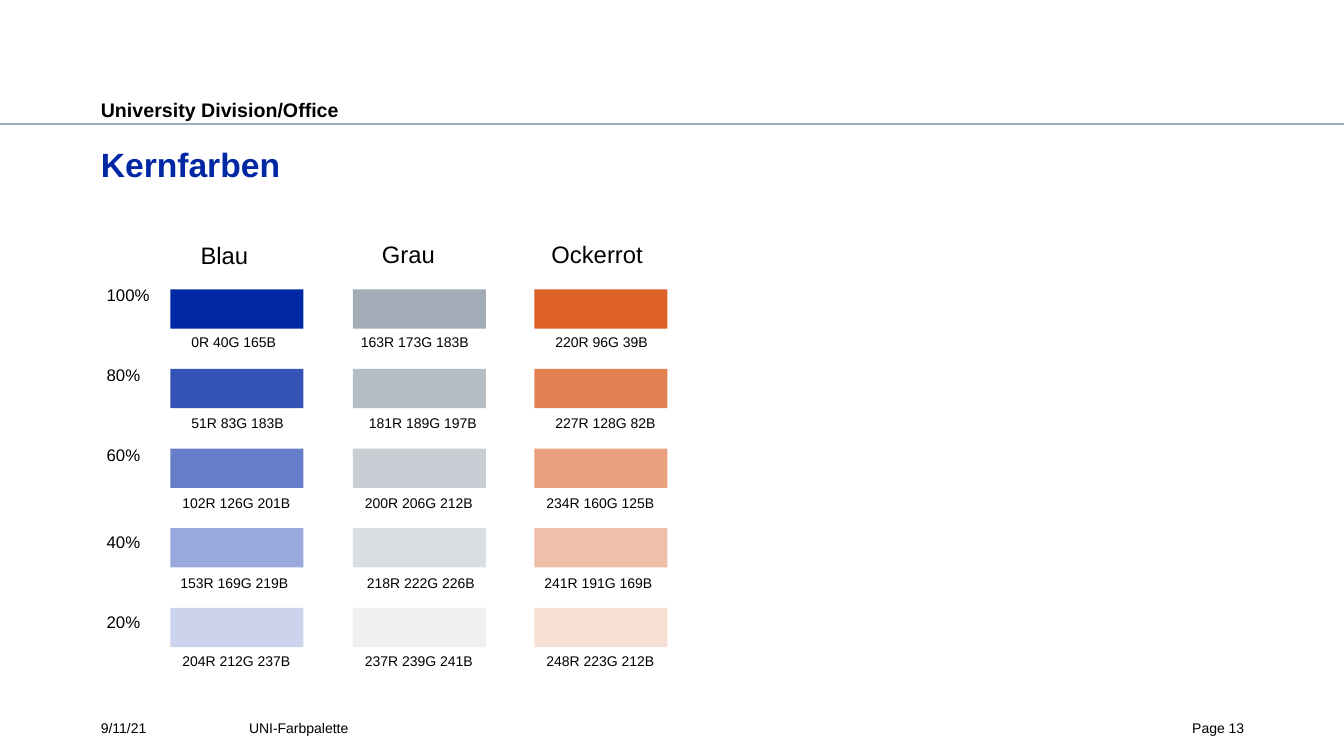
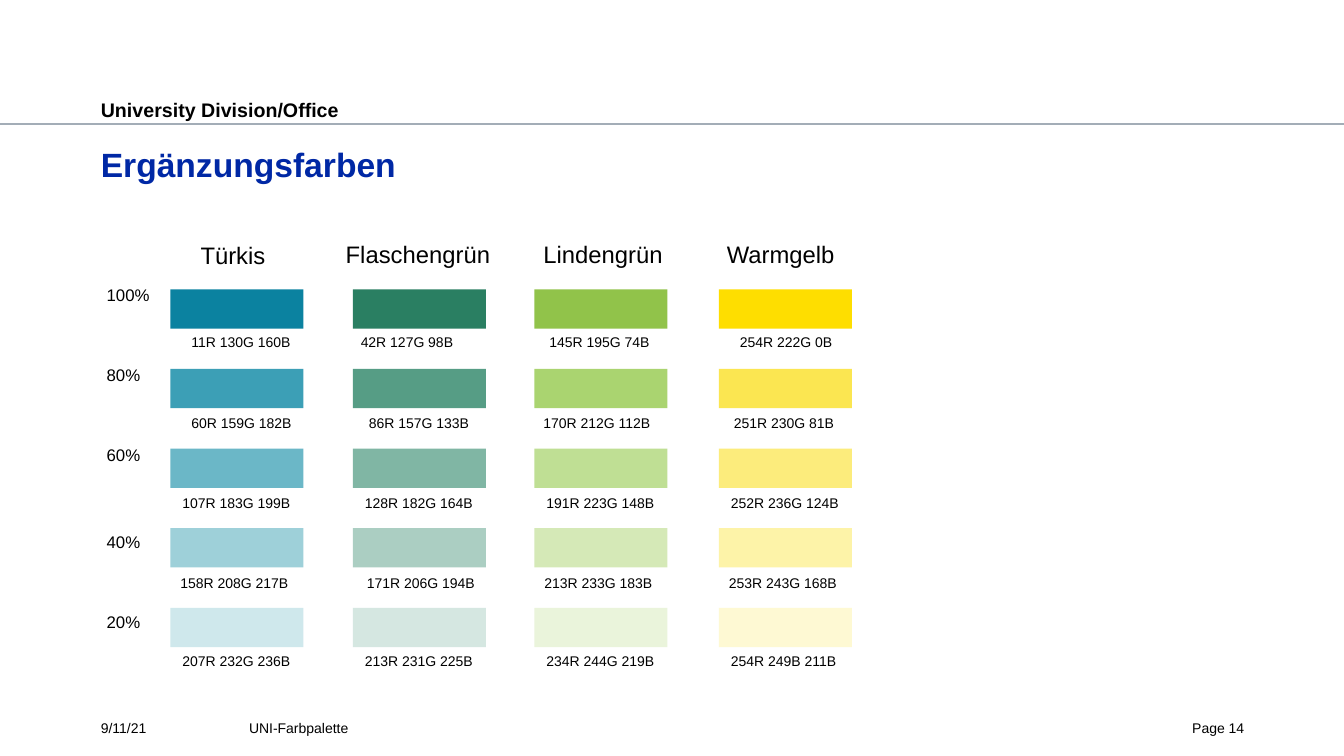
from pptx import Presentation
from pptx.dml.color import RGBColor
from pptx.enum.shapes import MSO_CONNECTOR, MSO_SHAPE
from pptx.enum.text import MSO_AUTO_SIZE, PP_ALIGN
from pptx.oxml import parse_xml
from pptx.util import Inches, Pt

BLACK = RGBColor(0, 0, 0)
BLUE = RGBColor(0, 40, 165)
GREY = RGBColor(163, 173, 183)
FONT = "Arial"
RECT = MSO_SHAPE.RECTANGLE
LINE = MSO_CONNECTOR.STRAIGHT
GROW = MSO_AUTO_SIZE.SHAPE_TO_FIT_TEXT
LEFT, RIGHT = PP_ALIGN.LEFT, PP_ALIGN.RIGHT
EFFECT = '<a:effectLst xmlns:a="http://schemas.openxmlformats.org/drawingml/2006/main"/>'

WIDTH, HEIGHT = 13.33, 7.5
MARGIN = 1
FOOT_TOP = 7.14
SWATCH_TOP, SWATCH_STEP = 2.87, 0.79
SWATCH_W, SWATCH_H = 1.32, 0.39
SWATCH_LEFTS = (1.69, 3.5, 5.3, 7.13)
HEAD_TOPS = (2.34, 2.33, 2.33, 2.33)
CODE_TOPS = (3.26, 4.06, 4.86, 5.65, 6.42)
SHADES = (("100%", 2.78), ("80%", 3.57), ("60%", 4.36), ("40%", 5.23), ("20%", 6.02))

CORE = (
    ("Blau", 1.89, 0.68, (
        ("0R 40G 165B", 1.8), ("51R 83G 183B", 1.8), ("102R 126G 201B", 1.71),
        ("153R 169G 219B", 1.69), ("204R 212G 237B", 1.71))),
    ("Grau", 3.69, 0.73, (
        ("163R 173G 183B", 3.48), ("181R 189G 197B", 3.56), ("200R 206G 212B", 3.52),
        ("218R 222G 226B", 3.54), ("237R 239G 241B", 3.52))),
    ("Ockerrot", 5.37, 1.12, (
        ("220R 96G 39B", 5.41), ("227R 128G 82B", 5.41), ("234R 160G 125B", 5.32),
        ("241R 191G 169B", 5.3), ("248R 223G 212B", 5.32))),
)
EXTRA = (
    ("Türkis", 1.89, 0.85, (
        ("11R 130G 160B", 1.8), ("60R 159G 182B", 1.8), ("107R 183G 199B", 1.71),
        ("158R 208G 217B", 1.69), ("207R 232G 236B", 1.71))),
    ("Flaschengrün", 3.33, 1.65, (
        ("42R 127G 98B", 3.48), ("86R 157G 133B", 3.56), ("128R 182G 164B", 3.52),
        ("171R 206G 194B", 3.54), ("213R 231G 225B", 3.52))),
    ("Lindengrün", 5.29, 1.4, (
        ("145R 195G 74B", 5.35), ("170R 212G 112B", 5.29), ("191R 223G 148B", 5.32),
        ("213R 233G 183B", 5.3), ("234R 244G 219B", 5.32))),
    ("Warmgelb", 7.11, 1.28, (
        ("254R 222G 0B", 7.24), ("251R 230G 81B", 7.18), ("252R 236G 124B", 7.15),
        ("253R 243G 168B", 7.13), ("254R 249B 211B", 7.15))),
)


class Deck:
    """Holds the shared style and the slide being drawn."""

    def __init__(self):
        self.prs = Presentation()
        self.prs.slide_width = Inches(WIDTH)
        self.prs.slide_height = Inches(HEIGHT)

    def page(self, title, number):
        self.slide = self.prs.slides.add_slide(self.prs.slide_layouts[6])
        self.rule(1.23)
        self.block("University Division/Office", MARGIN, 0.93, 8.02, 0.25, 14, bold=True, inset=0.04)
        self.block(title, MARGIN, 1.39, 11.34, 0.87, 24, BLUE, bold=True, inset=0.04)
        self.block("9/11/21", MARGIN, FOOT_TOP, 1.36, 0.24)
        self.block("UNI-Farbpalette", 2.47, FOOT_TOP, 7.66, 0.24)
        self.block(f"Page {number}", 11.43, FOOT_TOP, 0.91, 0.24, align=RIGHT)

    def rule(self, top):
        line = self.slide.shapes.add_connector(LINE, 0, Inches(top), Inches(WIDTH), Inches(top))
        line.line.color.rgb = GREY
        line.line.width = Pt(1.25)
        line._element.spPr.append(parse_xml(EFFECT))

    def text(self, text, left, top, width, height, size, color=BLACK, bold=False):
        box = self.slide.shapes.add_textbox(Inches(left), Inches(top), Inches(width), Inches(height))
        frame = box.text_frame
        frame.text = text
        font = frame.paragraphs[0].runs[0].font
        font.name, font.size, font.bold = FONT, Pt(size), bold
        font.color.rgb = color
        return frame

    def block(self, text, left, top, width, height, size=10, color=BLACK,
              bold=False, inset=0, align=LEFT):
        frame = self.text(text, left, top, width, height, size, color, bold)
        frame.word_wrap = True
        frame.margin_left = frame.margin_right = frame.margin_bottom = 0
        frame.margin_top = Inches(inset)
        frame.paragraphs[0].alignment = align

    def label(self, text, left, top, width, height, size):
        frame = self.text(text, left, top, width, height, size)
        frame.word_wrap = False
        frame.auto_size = GROW

    def swatch(self, left, top, color):
        shape = self.slide.shapes.add_shape(
            RECT, Inches(left), Inches(top), Inches(SWATCH_W), Inches(SWATCH_H))
        shape.shadow.inherit = False
        shape.fill.solid()
        shape.fill.fore_color.rgb = color
        shape.line.fill.background()

    def palette(self, hues):
        for shade, top in SHADES:
            self.label(shade, 0.96, top, 0.27 + 0.09 * len(shade), 0.3, 12)
        for hue, left, head_top in zip(hues, SWATCH_LEFTS, HEAD_TOPS):
            name, head_left, head_width, codes = hue
            self.label(name, head_left, head_top, head_width, 0.39, 17)
            for row, (code, code_left) in enumerate(codes):
                color = RGBColor(*(int(part[:-1]) for part in code.split()))
                self.swatch(left, SWATCH_TOP + row * SWATCH_STEP, color)
                self.label(code, code_left, CODE_TOPS[row], 0.17 + 0.08 * len(code), 0.27, 10)


def main():
    deck = Deck()
    pages = (("Kernfarben", CORE), ("Ergänzungsfarben", EXTRA))
    for number, (title, hues) in enumerate(pages, 13):
        deck.page(title, number)
        deck.palette(hues)
    deck.prs.save("out.pptx")


if __name__ == "__main__":
    main()
